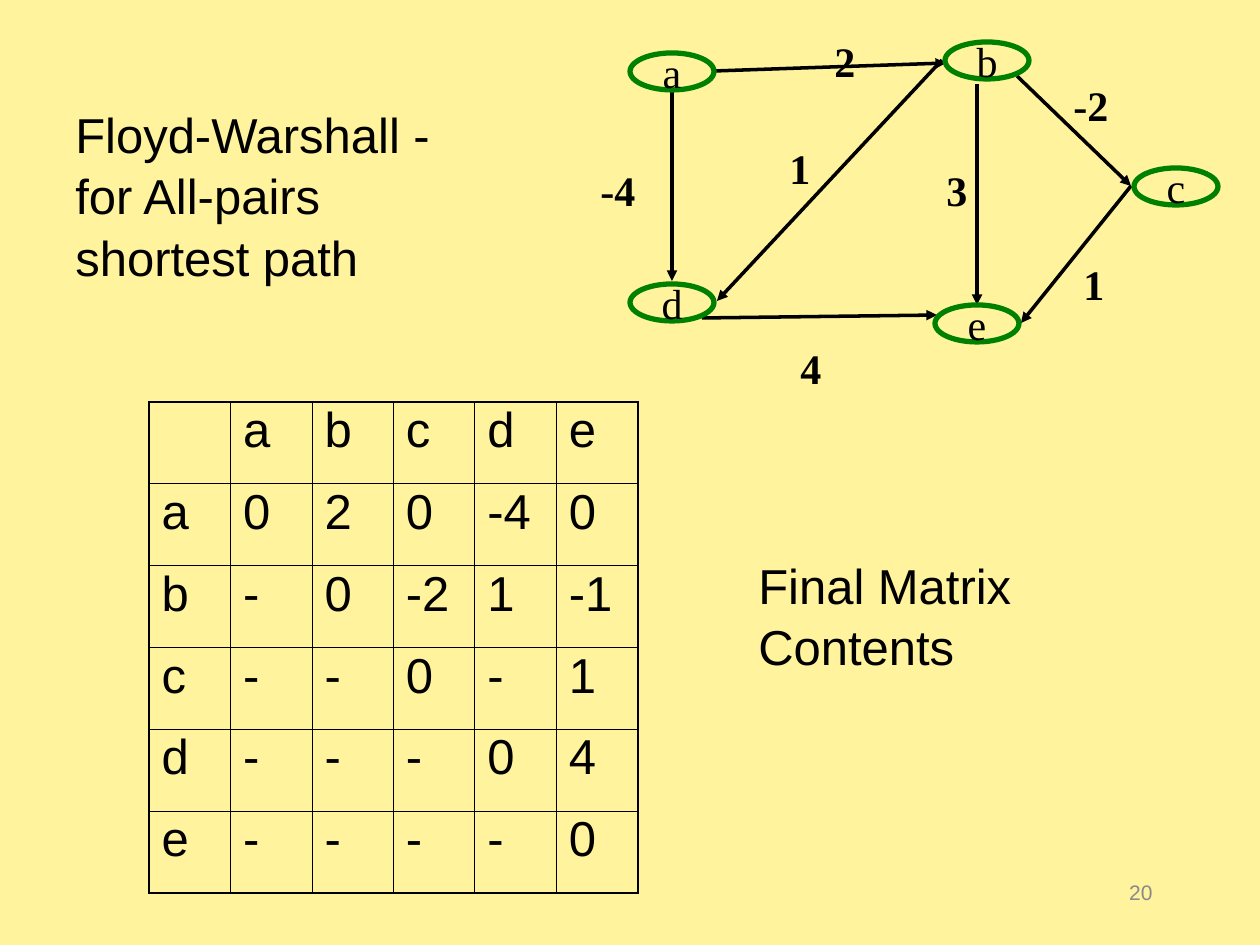
"""Build the Floyd-Warshall slide with its weighted graph and final matrix."""
from dataclasses import dataclass

from lxml.etree import SubElement
from pptx import Presentation
from pptx.dml.color import RGBColor as Rgb
from pptx.enum.shapes import MSO_CONNECTOR as Link, MSO_SHAPE as Shape
from pptx.enum.text import MSO_ANCHOR as Anchor, MSO_AUTO_SIZE as Fit, PP_ALIGN as Align
from pptx.oxml.ns import qn
from pptx.util import Emu, Pt


@dataclass(frozen=True)
class Theme:
    paper: str = "FFF39D"
    ink: str = "000000"
    ring: str = "008000"
    muted: str = "898989"
    sans: str = "Arial"
    serif: str = "Times New Roman"
    body: int = 28
    graph: int = 24
    footer: int = 12


theme = Theme()


def px(*lengths):
    return [Emu(round(length * 914400 / 126)) for length in lengths]


def write(frame, text, size, font, color=theme.ink, bold=False):
    paragraph = frame.paragraphs[0]
    run = paragraph.add_run()
    run.text = text
    run.font.size, run.font.name, run.font.bold = Pt(size), font, bold
    run.font.color.rgb = Rgb.from_string(color)
    return paragraph


deck = Presentation()
deck.slide_width, deck.slide_height = px(1260, 945)
slide = deck.slides.add_slide(deck.slide_layouts[6])
slide.background.fill.solid()
slide.background.fill.fore_color.rgb = Rgb.from_string(theme.paper)

matrix_rows = [
    ["", "a", "b", "c", "d", "e"],
    ["a", "0", "2", "0", "-4", "0"],
    ["b", "-", "0", "-2", "1", "-1"],
    ["c", "-", "-", "0", "-", "1"],
    ["d", "-", "-", "-", "0", "4"],
    ["e", "-", "-", "-", "-", "0"],
]
last = len(matrix_rows) - 1
matrix = slide.shapes.add_table(last + 1, last + 1, *px(149, 402, 489, 491)).table
matrix.first_row = matrix.horz_banding = False
for row, values in enumerate(matrix_rows):
    for column, value in enumerate(values):
        cell = matrix.cell(row, column)
        outer_sides = {"L": column == 0, "R": column == last, "T": row == 0, "B": row == last}
        for side, outer in outer_sides.items():
            width = Pt(1.08 if outer else 0.45)
            border = SubElement(cell._tc.get_or_add_tcPr(), qn(f"a:ln{side}"), w=str(width))
            SubElement(SubElement(border, qn("a:solidFill")), qn("a:srgbClr"), val=theme.ink)
        cell.fill.background()
        if value:
            entry = write(cell.text_frame, value, theme.body, theme.sans)
            entry.line_spacing, entry.space_before = 0.9, Pt(10.5)

edges = [
    (714, 71, 946, 63),
    (1017, 76, 1131, 186),
    (1131, 186, 1021, 323),
    (672, 91, 672, 281),
    (702, 318, 937, 315),
    (977, 84, 977, 305),
    (942, 60, 717, 301),
]
for ends in edges:
    edge = slide.shapes.add_connector(Link.STRAIGHT, *px(*ends))
    edge.line.width = Pt(2)
    edge.line.color.rgb = Rgb.from_string(theme.ink)
    SubElement(edge.line._get_or_add_ln(), qn("a:tailEnd"), type="triangle")
    SubElement(edge._element.spPr, qn("a:effectLst"))

nodes = {"a": (630, 53), "b": (945, 42), "c": (1134, 168), "d": (630, 284), "e": (935, 305)}
for name, (left, top) in nodes.items():
    node = slide.shapes.add_shape(Shape.OVAL, *px(left, top, 84, 37))
    node.shadow.inherit = False
    node.fill.background()
    node.line.width = Pt(3)
    node.line.color.rgb = Rgb.from_string(theme.ring)
    node.text_frame.word_wrap = False
    node.text_frame.vertical_anchor = Anchor.MIDDLE
    write(node.text_frame, name, theme.graph, theme.serif).alignment = Align.CENTER

weights = [
    ("-4", 588, 158, 78),
    ("2", 822, 29, 45),
    ("-2", 1061, 73, 95),
    ("1", 1071, 252, 45),
    ("3", 934, 158, 45),
    ("1", 777, 136, 45),
    ("4", 788, 336, 45),
]
for weight, left, top, width in weights:
    label = slide.shapes.add_textbox(*px(left, top, width, 63)).text_frame
    label.word_wrap = len(weight) > 1
    label.auto_size = Fit.SHAPE_TO_FIT_TEXT
    write(label, weight, theme.graph, theme.serif, bold=True)

captions = [
    ("Floyd-Warshall - for All-pairs shortest path", 63, 95, 189),
    ("Final Matrix Contents", 746, 546, 131),
]
for text, left, top, height in captions:
    caption = slide.shapes.add_textbox(*px(left, top, 431, height)).text_frame
    caption.word_wrap = True
    caption.auto_size = Fit.SHAPE_TO_FIT_TEXT
    wording = write(caption, text, theme.body, theme.sans)
    wording.space_before, wording.line_spacing = Pt(17.5), 1.05

page_number = slide.shapes.add_textbox(*px(903, 861, 262, 63)).text_frame
page_number.word_wrap = True
page_number.vertical_anchor = Anchor.MIDDLE
write(page_number, "20", theme.footer, theme.sans, theme.muted).alignment = Align.RIGHT

deck.save("out.pptx")
